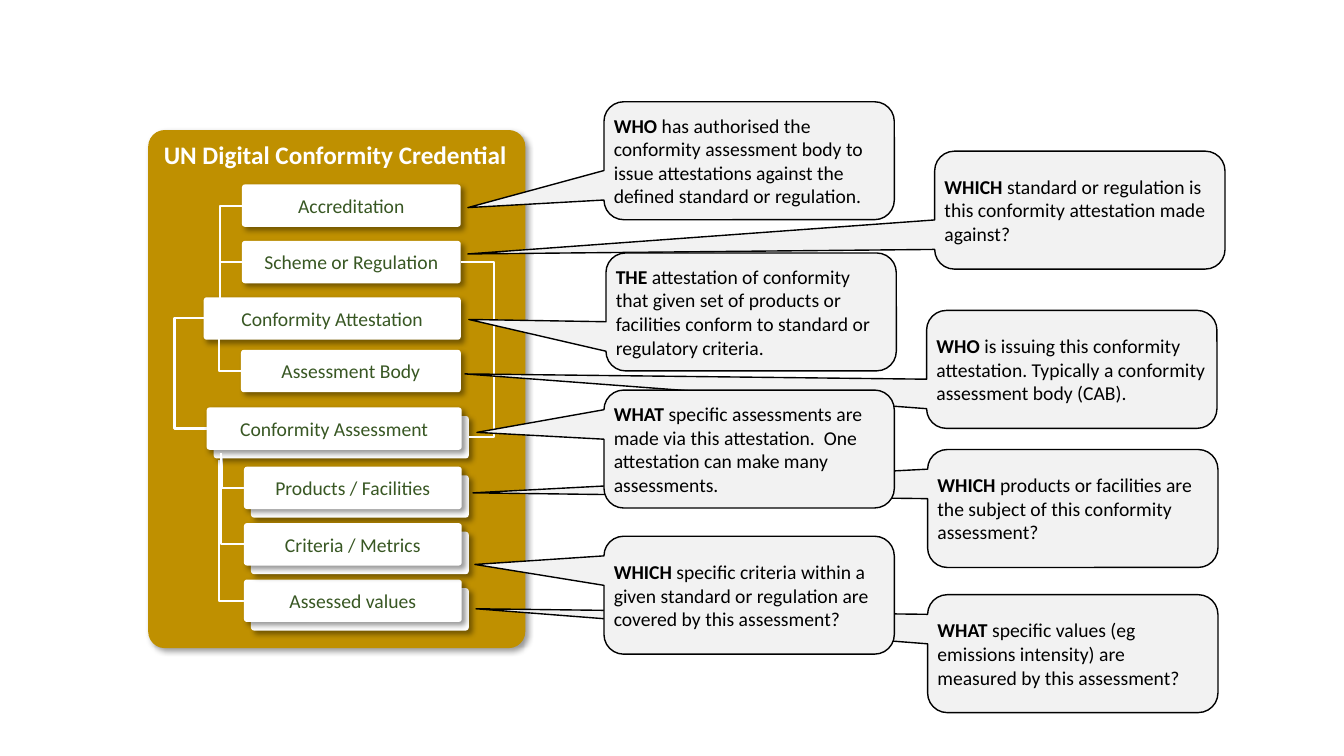
import pptx
import pptx.dml.color
import pptx.enum.shapes
import pptx.enum.text
import pptx.oxml
import pptx.oxml.ns
import pptx.util

Inches, Pt = pptx.util.Inches, pptx.util.Pt
SHAPE = pptx.enum.shapes.MSO_SHAPE
ALIGN = pptx.enum.text.PP_ALIGN
ANCHOR = pptx.enum.text.MSO_ANCHOR
NAMESPACE = pptx.oxml.ns.nsdecls("a")

# Panel grid: lengths in inches from the panel's corner
FIRST_ROW, ROW_PITCH, CARD_HEIGHT = 0.54, 0.56, 0.42
STACK_X, STACK_Y = 0.07, 0.085
# name: (text, row, left, right, stacked)
CARDS = {
    "attestation": ("Conformity Attestation", 2, 0.55, 3.1, False),
    "body": ("Assessment Body", 2.93, 0.92, 3.1, False),
    "accreditation": ("Accreditation", 0, 0.93, 3.1, False),
    "scheme": ("Scheme or Regulation", 1, 0.93, 3.1, False),
    "values": ("Assessed values", 7, 0.95, 3.11, True),
    "products": ("Products / Facilities", 5, 0.95, 3.11, True),
    "assessment": ("Conformity Assessment", 3.95, 0.58, 3.11, True),
    "criteria": ("Criteria / Metrics", 6, 0.95, 3.11, True),
}
# (card, trunk x, trunk end y)
BRANCHES = [
    ("accreditation", 0.71, 1.66),
    ("scheme", 0.71, 1.73),
    ("body", 0.7, 1.98),
    ("values", 0.7, 3.27),
    ("products", 0.73, 3.23),
]
CRITERIA_BRANCH = ("criteria", 0.72, 3.2)

CALLOUT_SIZE = (2.88, 1.17)
# (left, top, pointer tip, bold word, remaining text)
CALLOUTS = [
    (5.99, 1.01, (4.64, 2.06), "WHO", " has authorised the conformity assessment body to "
     "issue attestations against the defined standard or regulation."),
    (9.27, 1.5, (4.64, 2.52), "WHICH", " standard or regulation is this conformity "
     "attestation made against?"),
    (9.19, 3.08, (4.61, 3.71), "WHO", " is issuing this conformity attestation. "
     "Typically a conformity assessment body (CAB)."),
    (9.2, 4.46, (4.69, 4.89), "WHICH", " products or facilities are the subject of this "
     "conformity assessment?"),
    (6.01, 2.51, (4.65, 3.17), "THE", " attestation of conformity that given set of products "
     "or facilities conform to standard or regulatory criteria."),
    (9.2, 5.9, (4.72, 6.04), "WHAT", " specific values (eg emissions intensity) are measured "
     "by this assessment?"),
    (5.99, 3.87, (4.73, 4.29), "WHAT", " specific assessments are made via this attestation.  "
     "One attestation can make many assessments."),
    (5.99, 5.32, (4.71, 5.6), "WHICH", " specific criteria within a given standard or "
     "regulation are covered by this assessment?"),
]


def color(hex_string):
    return pptx.dml.color.RGBColor.from_string(hex_string)


def set_all(target, values):
    for name, value in values.items():
        setattr(target, name, value)


def write(shape, runs, text_color, size=14, align=ALIGN.LEFT):
    """Fill a shape with one paragraph of (text, bold) runs."""
    paragraph = shape.text_frame.paragraphs[0]
    paragraph.alignment = align
    for text, bold in runs:
        run = paragraph.add_run()
        run.text = text
        set_all(run.font, {"name": "Calibri", "size": Pt(size), "bold": bold})
        run.font.color.rgb = color(text_color)


def add_box(slide, kind, box, fill, line=None):
    shape = slide.shapes.add_shape(kind, *map(Inches, box))
    shape.shadow.inherit = False
    shape.fill.solid()
    shape.fill.fore_color.rgb = color(fill)
    if line:
        shape.line.color.rgb = color(line)
        shape.line.width = Pt(1)
    else:
        shape.line.fill.background()
    set_all(shape.text_frame, {
        "word_wrap": True, "vertical_anchor": ANCHOR.MIDDLE,
        "margin_left": Inches(0.04), "margin_right": Inches(0.04),
        "margin_top": Inches(0.05), "margin_bottom": Inches(0.05)})
    return shape


def add_raised_box(slide, box, fill, corner):
    """A rounded rectangle with a soft shadow to the lower right."""
    shape = add_box(slide, SHAPE.ROUNDED_RECTANGLE, box, fill)
    shape.adjustments[0] = corner
    effects = shape.element.spPr.find(pptx.oxml.ns.qn("a:effectLst"))
    effects.append(pptx.oxml.parse_xml(
        f'<a:outerShdw {NAMESPACE} blurRad="{Pt(4)}" dist="{Pt(3)}" dir="2700000" '
        'algn="tl" rotWithShape="0"><a:srgbClr val="000000"><a:alpha val="40000"/>'
        '</a:srgbClr></a:outerShdw>'))
    return shape


def add_elbow(slide, start, end, via_x=None):
    """One bend by default, or two bends around a vertical at via_x."""
    connector = slide.shapes.add_connector(
        pptx.enum.shapes.MSO_CONNECTOR.ELBOW, *map(Inches, start + end))
    connector.line.color.rgb = color("FFFFFF")
    connector.line.width = Pt(1.5)
    properties = connector.element.spPr
    properties.append(pptx.oxml.parse_xml(f"<a:effectLst {NAMESPACE}/>"))
    geometry = properties.find(pptx.oxml.ns.qn("a:prstGeom"))
    if via_x is None:
        geometry.set("prst", "bentConnector2")
    else:
        share = round((via_x - start[0]) / (end[0] - start[0]) * 100000)
        guides = geometry.find(pptx.oxml.ns.qn("a:avLst"))
        guides.append(pptx.oxml.parse_xml(
            f'<a:gd {NAMESPACE} name="adj1" fmla="val {share}"/>'))


def card_box(panel, name):
    text, row, left, right, stacked = CARDS[name]
    return (panel[0] + left, panel[1] + FIRST_ROW + row * ROW_PITCH,
            right - left, CARD_HEIGHT)


def side(panel, name, right=False):
    left, top, width, height = card_box(panel, name)
    return (left + width * right, top + height / 2)


def add_cards(slide, panel, want_stacked):
    for name, (text, row, left, right, stacked) in CARDS.items():
        if stacked != want_stacked:
            continue
        box = card_box(panel, name)
        if stacked:
            add_raised_box(slide, (box[0] + STACK_X, box[1] + STACK_Y, *box[2:]),
                           "FFFFFF", 0.07)
        card = add_raised_box(slide, box, "FFFFFF", 0.07)
        write(card, [(text, False)], "385723", align=ALIGN.CENTER)


def add_branch(slide, panel, name, trunk_x, end_y):
    add_elbow(slide, side(panel, name), (panel[0] + trunk_x, panel[1] + end_y))


def build_credential_panel(slide, panel):
    left, top, width, height = panel
    background = add_raised_box(slide, panel, "BF9000", 0.044)

    # Heading, placed just above the panel background
    title = slide.shapes.title
    set_all(title, {"left": Inches(left + 0.04), "top": Inches(top + 0.04),
                    "width": Inches(3.63), "height": Inches(0.47)})
    set_all(title.text_frame, {"word_wrap": False, "vertical_anchor": ANCHOR.TOP,
                               "auto_size": pptx.enum.text.MSO_AUTO_SIZE.NONE})
    write(title, [("UN Digital Conformity Credential", True)], "FFFFFF", 18, ALIGN.CENTER)
    background.element.addnext(title.element)

    # Cards and the lines between them
    add_cards(slide, panel, False)
    for branch in BRANCHES:
        add_branch(slide, panel, *branch)
    add_elbow(slide, side(panel, "assessment"), side(panel, "attestation"), left + 0.26)
    add_cards(slide, panel, True)
    stack_x, stack_y = side(panel, "assessment", right=True)
    add_elbow(slide, side(panel, "scheme", right=True),
              (stack_x + STACK_X, stack_y + STACK_Y), left + 3.43)
    add_branch(slide, panel, *CRITERIA_BRANCH)


def build_callout(slide, box, tip, bold_word, text):
    left, top, width, height = box
    callout = add_box(slide, SHAPE.ROUNDED_RECTANGULAR_CALLOUT, box, "F2F2F2", "000000")
    callout.adjustments[0] = (tip[0] - left) / width - 0.5
    callout.adjustments[1] = (tip[1] - top) / height - 0.5
    callout.adjustments[2] = 0.167
    write(callout, [(bold_word, True), (text, False)], "000000")


def main():
    presentation = pptx.Presentation()
    set_all(presentation, {"slide_width": Inches(13.33), "slide_height": Inches(7.5)})
    slide = presentation.slides.add_slide(presentation.slide_layouts.get_by_name("Title Only"))
    build_credential_panel(slide, (1.47, 1.29, 3.74, 5.14))
    for left, top, tip, bold_word, text in CALLOUTS:
        build_callout(slide, (left, top, *CALLOUT_SIZE), tip, bold_word, text)
    presentation.save("out.pptx")


if __name__ == "__main__":
    main()
